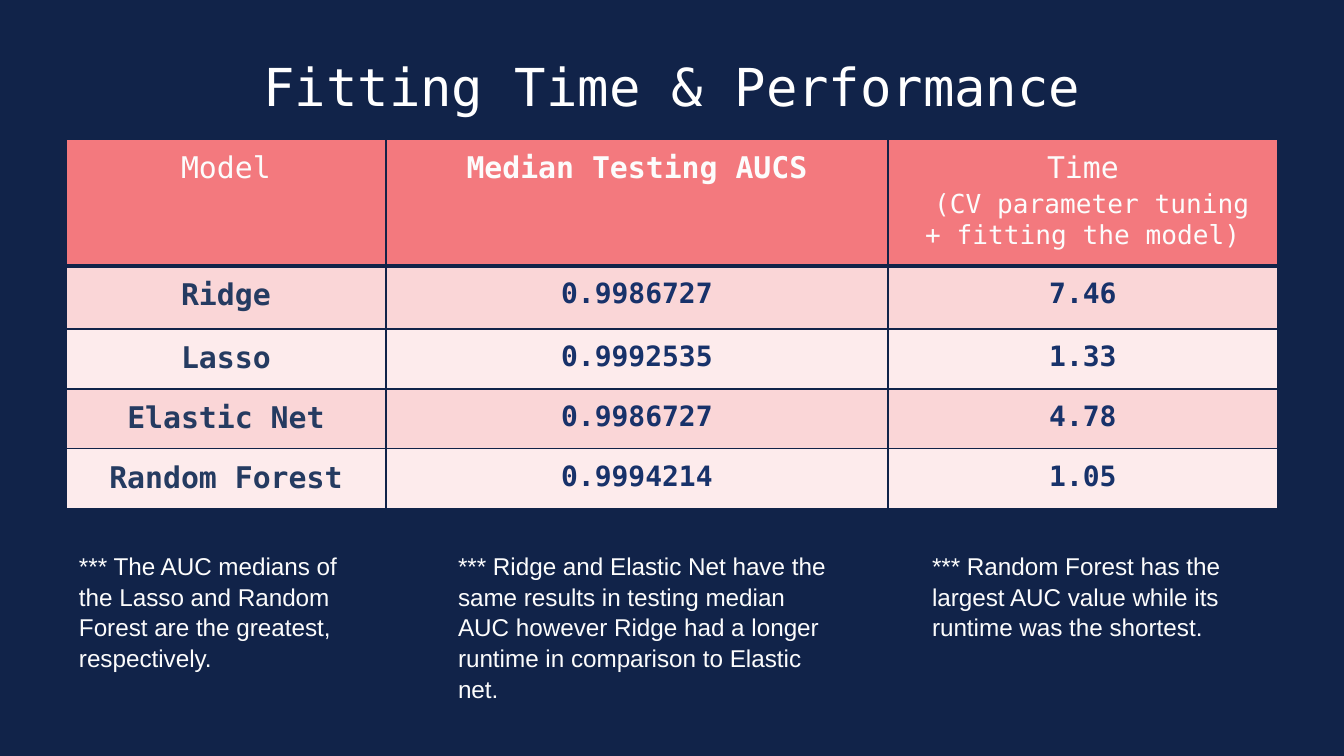
"""Build a slide comparing fitting time and performance of four models."""
from dataclasses import dataclass

from lxml import etree
from pptx import Presentation
from pptx.dml.color import RGBColor
from pptx.enum.text import MSO_ANCHOR, PP_ALIGN
from pptx.oxml.ns import qn
from pptx.util import Pt

CENTER, LEFT = PP_ALIGN.CENTER, PP_ALIGN.LEFT
TOP = MSO_ANCHOR.TOP
PX = 914400 / 134.4


@dataclass(frozen=True)
class Theme:
    mono: str = "DejaVu Sans Mono"
    sans: str = "Arial"
    navy: str = "112349"
    white: str = "FFFFFF"
    light: str = "FCFCFC"
    coral: str = "F3797E"
    bands: tuple = ("FAD6D7", "FDEBEC")
    model: str = "253B61"
    value: str = "18326A"
    title_size: int = 28
    head_size: int = 16
    value_size: int = 15
    detail_size: int = 14
    note_size: int = 13
    line_spacing: float = 1.05
    border: int = 1
    head_border: int = 3


THEME = Theme()
SLIDE_SIZE = (1344, 756)
TITLE = "Fitting Time & Performance"
TITLE_AREA = (125, 38, 1094, 85)
TABLE_ORIGIN = (66, 139)
COLUMN_WIDTHS = (320, 502, 390)
ROW_HEIGHTS = (125, 63, 59, 59, 59)
HEADERS = [
    ("Model", False, ""),
    ("Median Testing AUCS", True, ""),
    ("Time", False, "(CV parameter tuning + fitting the model)"),
]
RESULTS = [
    ("Ridge", "0.9986727", "7.46"),
    ("Lasso", "0.9992535", "1.33"),
    ("Elastic Net", "0.9986727", "4.78"),
    ("Random Forest", "0.9994214", "1.05"),
]
NOTE_TOP = 543
NOTES = [
    (66, 310, 132, "*** The AUC medians of the Lasso and Random Forest are the "
     "greatest, respectively."),
    (445, 406, 161, "*** Ridge and Elastic Net have the same results in testing "
     "median AUC however Ridge had a longer runtime in comparison to Elastic net."),
    (919, 339, 102, "*** Random Forest has the largest AUC value while its "
     "runtime was the shortest."),
]


def emu(pixels):
    return round(pixels * PX)


def add_span(para, text, font, size, color, bold=False):
    span = para.add_run()
    span.text = text
    span.font.name = font
    span.font.size = Pt(size)
    span.font.bold = bold
    span.font.color.rgb = RGBColor.from_string(color)


def add_text(page, area, text, font, size, color, align, inset):
    box = page.shapes.add_textbox(*map(emu, area))
    frame = box.text_frame
    frame.word_wrap = True
    frame.vertical_anchor = TOP
    frame.margin_left = frame.margin_right = emu(13)
    frame.margin_top = frame.margin_bottom = emu(inset)
    para = frame.paragraphs[0]
    para.alignment = align
    para.line_spacing = THEME.line_spacing
    add_span(para, text, font, size, color)


def style_cell(cell, fill, top=THEME.border, bottom=THEME.border):
    cell.fill.solid()
    cell.fill.fore_color.rgb = RGBColor.from_string(fill)
    cell.margin_left = cell.margin_right = emu(24)
    cell.margin_top = cell.margin_bottom = emu(12)
    cell.vertical_anchor = TOP
    properties = cell._tc.get_or_add_tcPr()
    widths = {"lnL": THEME.border, "lnR": THEME.border, "lnT": top, "lnB": bottom}
    for index, (side, width) in enumerate(widths.items()):
        line = etree.Element(qn(f"a:{side}"), w=str(Pt(width)))
        paint = etree.SubElement(line, qn("a:solidFill"))
        etree.SubElement(paint, qn("a:srgbClr"), val=THEME.navy)
        properties.insert(index, line)


def fill_header(cell, label, bold, detail):
    style_cell(cell, THEME.coral, bottom=THEME.head_border)
    para = cell.text_frame.paragraphs[0]
    para.alignment = CENTER
    add_span(para, label, THEME.mono, THEME.head_size, THEME.light, bold)
    if detail:
        para = cell.text_frame.add_paragraph()
        para.alignment = CENTER
        add_span(para, " ", THEME.mono, THEME.head_size, THEME.light)
        add_span(para, detail, THEME.mono, THEME.detail_size, THEME.light)


def add_results(page):
    frame = page.shapes.add_table(
        len(ROW_HEIGHTS), len(COLUMN_WIDTHS), *map(emu, TABLE_ORIGIN),
        emu(sum(COLUMN_WIDTHS)), emu(sum(ROW_HEIGHTS)))
    table = frame.table
    for column, width in zip(table.columns, COLUMN_WIDTHS):
        column.width = emu(width)
    for row, height in zip(table.rows, ROW_HEIGHTS):
        row.height = emu(height)
    for column, header in enumerate(HEADERS):
        fill_header(table.cell(0, column), *header)
    for row, result in enumerate(RESULTS, start=1):
        top = THEME.head_border if row == 1 else THEME.border
        for column, text in enumerate(result):
            cell = table.cell(row, column)
            style_cell(cell, THEME.bands[(row - 1) % 2], top=top)
            para = cell.text_frame.paragraphs[0]
            para.alignment = CENTER
            size, color = ((THEME.value_size, THEME.value) if column
                           else (THEME.head_size, THEME.model))
            add_span(para, text, THEME.mono, size, color, True)


def main():
    deck = Presentation()
    deck.slide_width, deck.slide_height = map(emu, SLIDE_SIZE)
    page = deck.slides.add_slide(deck.slide_layouts[6])
    page.background.fill.solid()
    page.background.fill.fore_color.rgb = RGBColor.from_string(THEME.navy)
    add_text(page, TITLE_AREA, TITLE, THEME.mono, THEME.title_size,
             THEME.white, CENTER, 13)
    add_results(page)
    for left, width, height, text in NOTES:
        add_text(page, (left, NOTE_TOP, width, height), text, THEME.sans,
                 THEME.note_size, THEME.light, LEFT, 7)
    deck.save("out.pptx")


if __name__ == "__main__":
    main()
